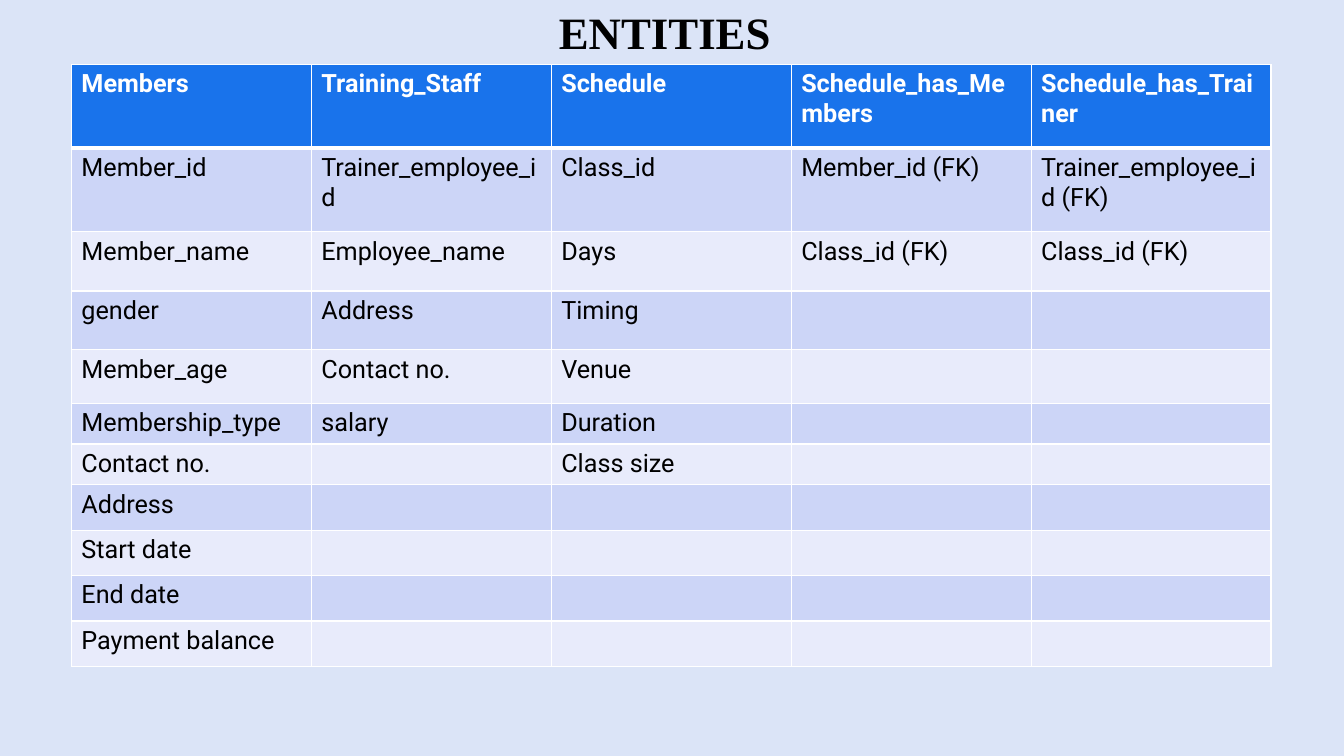
from dataclasses import dataclass
from itertools import zip_longest

from lxml.etree import SubElement
from pptx import Presentation
from pptx.dml.color import RGBColor as RGB
from pptx.enum.text import MSO_AUTO_SIZE as AutoSize, PP_ALIGN as Align
from pptx.oxml.ns import qn
from pptx.util import Pt


@dataclass(frozen=True)
class Theme:
    """Colours, fonts and type sizes of the slide."""
    page: str = "DBE4F7"
    header: str = "1973EB"
    bands: tuple = ("CCD5F7", "E8EBFB")
    white: str = "FFFFFF"
    ink: str = "000000"
    title_font: str = "Times New Roman"
    body_font: str = "Roboto"
    title_size: float = 32
    body_size: float = 18


THEME = Theme()
ENTITIES = {
    "Members": ["Member_id", "Member_name", "gender", "Member_age", "Membership_type",
                "Contact no.", "Address", "Start date", "End date", "Payment balance"],
    "Training_Staff": ["Trainer_employee_id", "Employee_name", "Address", "Contact no.", "salary"],
    "Schedule": ["Class_id", "Days", "Timing", "Venue", "Duration", "Class size"],
    "Schedule_has_Members": ["Member_id (FK)", "Class_id (FK)"],
    "Schedule_has_Trainer": ["Trainer_employee_id (FK)", "Class_id (FK)"],
}
ROW_HEIGHTS = [59.8, 59.8, 42.3, 41.9, 38.2] + [28.4] * 2 + [32.4] * 4


def write(tf, text, font=THEME.body_font, size=THEME.body_size, color=THEME.ink,
          bold=False, align=None):
    """Put one formatted run in the first paragraph of a text frame."""
    p = tf.paragraphs[0]
    p.alignment = align
    r = p.add_run()
    r.text = text
    r.font.name, r.font.size, r.font.bold = font, Pt(size), bold
    r.font.color.rgb = RGB.from_string(color)


def set_borders(cell, color, **widths):
    """Draw cell borders; widths are in points, keyed by L, R, T and B."""
    tc_pr = cell._tc.get_or_add_tcPr()
    for side, width in widths.items():
        ln = SubElement(tc_pr, qn(f"a:ln{side}"), w=str(Pt(width)))
        SubElement(SubElement(ln, qn("a:solidFill")), qn("a:srgbClr"), val=color)


def add_title(s, text, x, y, w, h):
    """Place the centred slide title in its box."""
    tf = s.shapes.add_textbox(Pt(x), Pt(y), Pt(w), Pt(h)).text_frame
    tf.word_wrap = True
    tf.auto_size = AutoSize.SHAPE_TO_FIT_TEXT
    write(tf, text, font=THEME.title_font, size=THEME.title_size, bold=True, align=Align.CENTER)


def add_entity_table(s, entities, heights, x, y, w):
    """Place a banded table with one entity per column."""
    rows = [list(entities), *zip_longest(*entities.values(), fillvalue="")]
    n_cols = len(entities)
    table = s.shapes.add_table(len(rows), n_cols, Pt(x), Pt(y), Pt(w), Pt(sum(heights))).table
    for col in table.columns:
        col.width = Pt(w / n_cols)
    for i, (values, height) in enumerate(zip(rows, heights)):
        table.rows[i].height = Pt(height)
        is_header = i == 0
        fill = THEME.header if is_header else THEME.bands[(i - 1) % 2]
        for j, value in enumerate(values):
            cell = table.cell(i, j)
            set_borders(cell, THEME.white, L=1, R=1, T=3 if i == 1 else 1, B=3 if is_header else 1)
            cell.fill.solid()
            cell.fill.fore_color.rgb = RGB.from_string(fill)
            if value:
                write(cell.text_frame, value, bold=is_header,
                      color=THEME.white if is_header else THEME.ink)


def main():
    """Build the entities slide and save it."""
    prs = Presentation()
    prs.slide_width, prs.slide_height = Pt(960), Pt(540)
    s = prs.slides.add_slide(prs.slide_layouts[6])
    s.background.fill.solid()
    s.background.fill.fore_color.rgb = RGB.from_string(THEME.page)
    add_entity_table(s, ENTITIES, ROW_HEIGHTS, x=51, y=46, w=857)
    add_title(s, "ENTITIES", x=60.5, y=0, w=828.7, h=46)
    prs.save("out.pptx")


if __name__ == "__main__":
    main()
